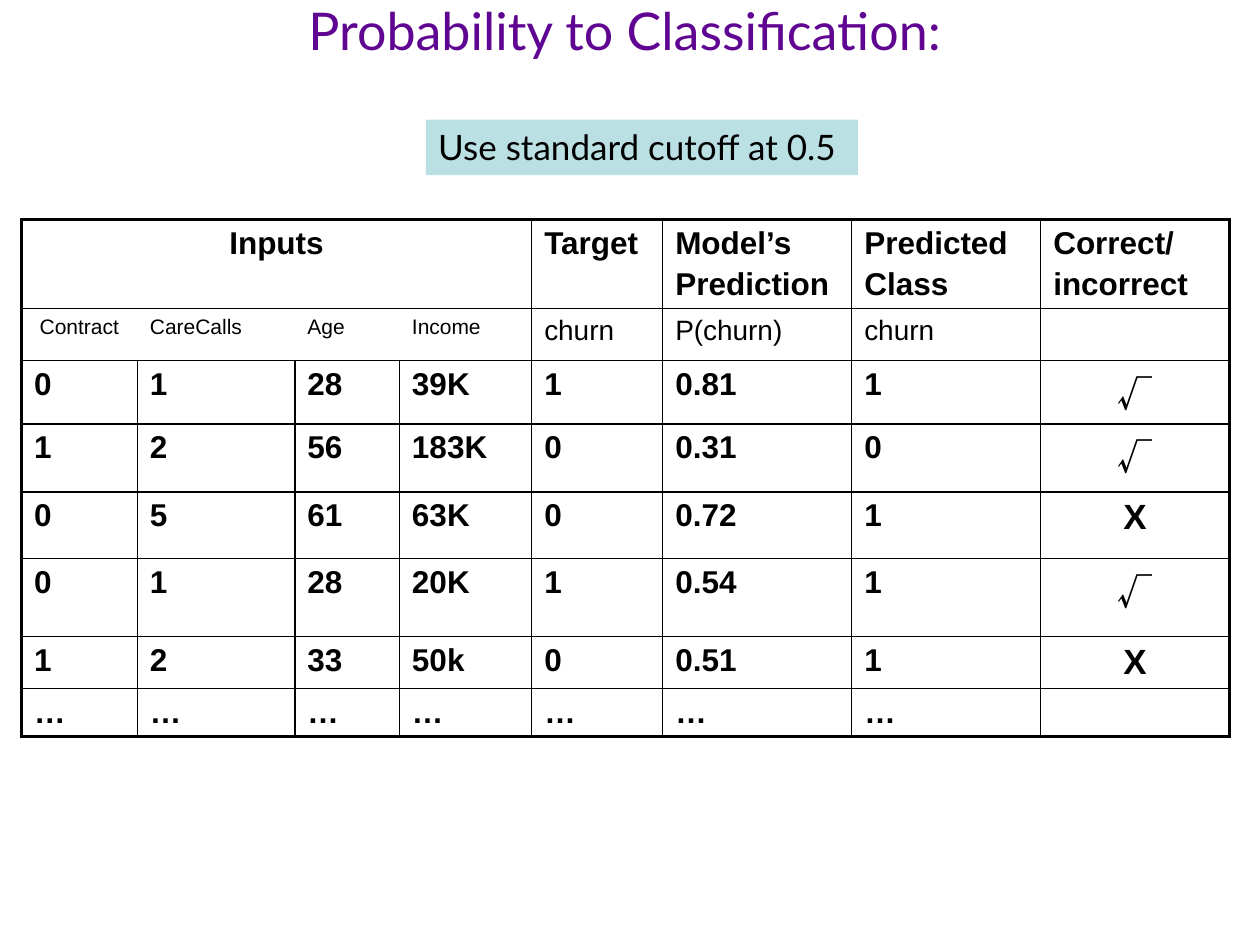
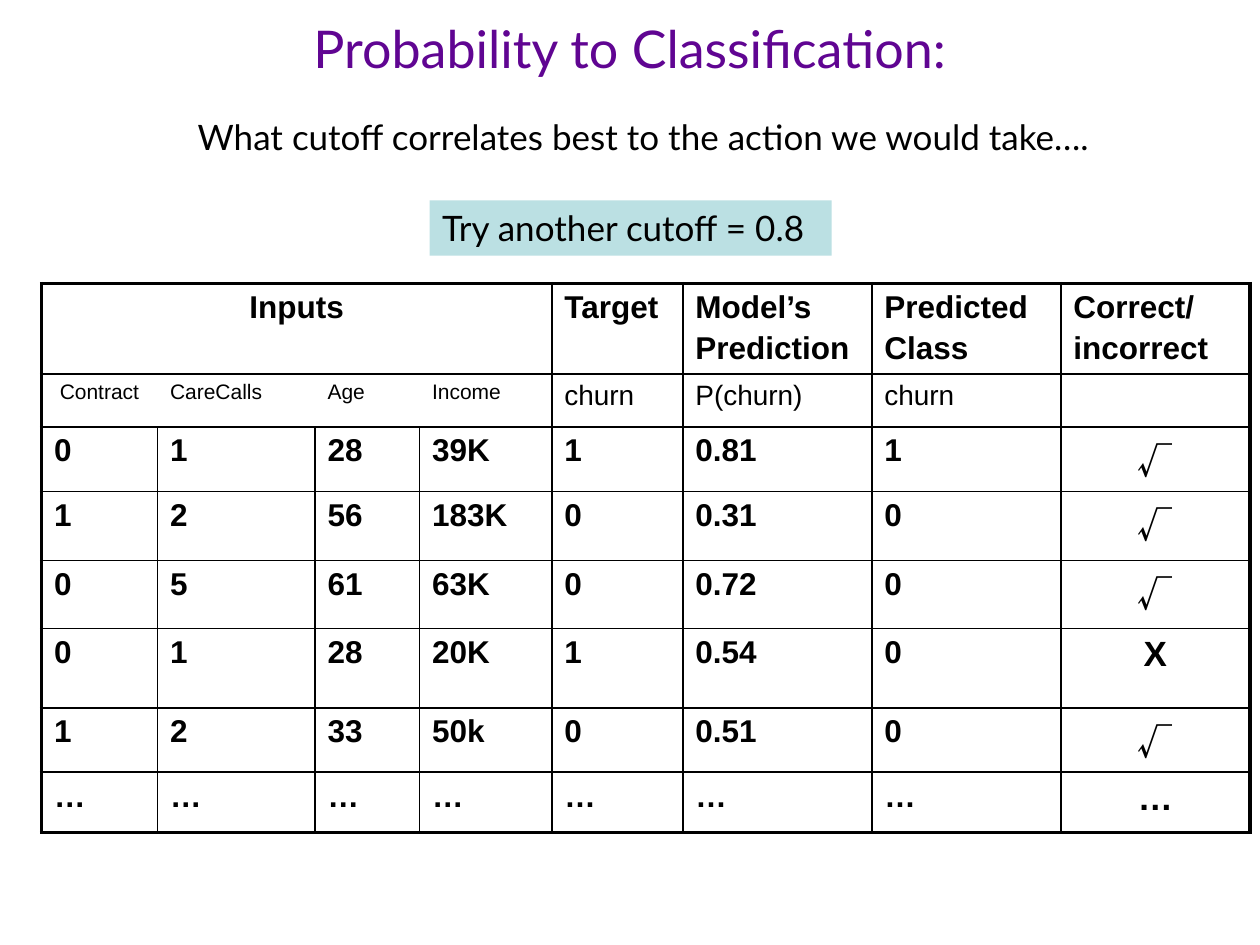
from lxml.etree import SubElement
from pptx import Presentation
from pptx.dml.color import RGBColor
from pptx.enum.shapes import MSO_SHAPE
from pptx.enum.text import MSO_ANCHOR, MSO_AUTO_SIZE, PP_ALIGN
from pptx.oxml import parse_xml
from pptx.oxml.ns import nsdecls, qn
from pptx.util import Inches, Pt

BLACK, PURPLE, AQUA = "000000", "600592", "BBE0E3"
HEADING_FONT, TABLE_FONT, CHECK_FONT = "Lato", "Arial", "Noto Sans CJK SC"
THIN, THICK = 1, 2.25
COLUMN_WIDTHS = [0.92, 1.25, 0.83, 1.05, 1.04, 1.5, 1.5, 1.5]
INPUT_COUNT = 4
TITLE = "Probability to Classification:\v"
HEADERS = ["Inputs", "", "", "", "Target", "Model’s\nPrediction",
           "Predicted\nClass", "Correct/\nincorrect"]
FIELDS = ["Contract", "CareCalls", "Age", "Income", "churn", "P(churn)", "churn", ""]
CUSTOMERS = [
    ["0", "1", "28", "39K", "1", "0.81"],
    ["1", "2", "56", "183K", "0", "0.31"],
    ["0", "5", "61", "63K", "0", "0.72"],
    ["0", "1", "28", "20K", "1", "0.54"],
    ["1", "2", "33", "50k", "0", "0.51"],
]


def color(hex_code):
    return RGBColor.from_string(hex_code)


def format_text(frame, size, font, hex_code=BLACK, bold=False, align=PP_ALIGN.LEFT):
    for paragraph in frame.paragraphs:
        paragraph.alignment = align
        for run in paragraph.runs:
            run.font.size = Pt(size)
            run.font.bold = bold
            run.font.color.rgb = color(hex_code)
            run.font.name = font


def add_title(slide, left, top):
    title = slide.shapes.title
    title.left, title.top = Inches(left), Inches(top)
    title.width, title.height = Inches(9), Inches(0.69)
    frame = title.text_frame
    frame.text = TITLE
    frame.auto_size = MSO_AUTO_SIZE.NONE
    frame.vertical_anchor = MSO_ANCHOR.MIDDLE
    format_text(frame, 29.7, HEADING_FONT, PURPLE, align=PP_ALIGN.CENTER)


def add_caption(slide, text, left, top, width, fill=None):
    caption = slide.shapes.add_shape(MSO_SHAPE.RECTANGLE, Inches(left), Inches(top),
                                     Inches(width), Inches(0.44))
    caption.shadow.inherit = False
    caption.line.fill.background()
    if fill:
        caption.fill.solid()
        caption.fill.fore_color.rgb = color(fill)
    else:
        caption.fill.background()
    frame = caption.text_frame
    frame.text = text
    frame.word_wrap = True
    frame.vertical_anchor = MSO_ANCHOR.TOP
    format_text(frame, 20, HEADING_FONT)


def set_borders(cell, weights):
    properties = cell._tc.get_or_add_tcPr()
    for position, (side, weight) in enumerate(zip("LRTB", weights)):
        paint = f'<a:solidFill><a:srgbClr val="{BLACK}"/></a:solidFill>' if weight else "<a:noFill/>"
        properties.insert(position, parse_xml(
            f'<a:ln{side} {nsdecls("a")} w="{int(Pt(weight))}">{paint}</a:ln{side}>'))


def border_weights(cell, row, column, last_row, last_column):
    open_left = row < 2 and 0 < column < INPUT_COUNT
    open_right = row < 2 and column < INPUT_COUNT - 1 and not cell.is_merge_origin
    left = 0 if open_left else THICK if column == 0 else THIN
    right = 0 if open_right else THICK if column == last_column else THIN
    return left, right, THICK if row == 0 else THIN, THICK if row == last_row else THIN


def format_cell(cell, row, column, last_column):
    frame = cell.text_frame
    if row == 0:
        align = PP_ALIGN.CENTER if column == 0 else PP_ALIGN.LEFT
        format_text(frame, 18, TABLE_FONT, bold=True, align=align)
        for paragraph in frame.paragraphs[1:]:
            paragraph.space_before = Pt(3.6)
    elif row == 1:
        align = PP_ALIGN.CENTER if column == 0 else PP_ALIGN.LEFT
        format_text(frame, 12 if column < INPUT_COUNT else 16, TABLE_FONT, align=align)
    elif column == last_column:
        font = CHECK_FONT if cell.text == "√" else TABLE_FONT
        format_text(frame, 20, font, bold=True, align=PP_ALIGN.CENTER)
        for run in frame.paragraphs[0].runs:
            SubElement(run.font._element, qn("a:ea"), typeface=font)
    else:
        format_text(frame, 18, TABLE_FONT, bold=True)
    if not cell.text:
        SubElement(frame.paragraphs[0]._p, qn("a:endParaRPr"), sz="1200")


def add_scoring_table(slide, left, top, row_heights, predicted, verdicts, last_verdict):
    records = [customer + [label, verdict]
               for customer, label, verdict in zip(CUSTOMERS, predicted, verdicts)]
    rows = [HEADERS, FIELDS, *records, ["…"] * 7 + [last_verdict]]
    table = slide.shapes.add_table(len(rows), len(COLUMN_WIDTHS), Inches(left), Inches(top),
                                   Inches(sum(COLUMN_WIDTHS)), Inches(sum(row_heights))).table
    table.first_row = table.horz_banding = False
    for table_column, width in zip(table.columns, COLUMN_WIDTHS):
        table_column.width = Inches(width)
    for table_row, height in zip(table.rows, row_heights):
        table_row.height = Inches(height)
    table.cell(0, 0).merge(table.cell(0, INPUT_COUNT - 1))
    last_row, last_column = len(rows) - 1, len(COLUMN_WIDTHS) - 1
    for row, values in enumerate(rows):
        for column, value in enumerate(values):
            cell = table.cell(row, column)
            cell.text = value
            format_cell(cell, row, column, last_column)
            cell.fill.background()
            set_borders(cell, border_weights(cell, row, column, last_row, last_column))


def add_standard_cutoff(deck):
    slide = deck.slides.add_slide(deck.slide_layouts[5])
    add_title(slide, 0.46, 0.26)
    add_scoring_table(slide, 0.17, 1.74, [0.71, 0.41, 0.5, 0.54, 0.53, 0.62, 0.41, 0.38],
                      "10111", "√√X√X", "")
    add_caption(slide, "Use standard cutoff at 0.5", 3.38, 0.95, 3.43, AQUA)


def add_other_cutoff(deck):
    slide = deck.slides.add_slide(deck.slide_layouts[5])
    add_title(slide, 0.5, 0.4)
    add_scoring_table(slide, 0.33, 2.25, [0.72, 0.42, 0.51, 0.55, 0.54, 0.63, 0.51, 0.48],
                      "10000", "√√√X√", "…")
    add_caption(slide, "Try another cutoff = 0.8", 3.41, 1.59, 3.19, AQUA)
    add_caption(slide, "What cutoff correlates best to the action we would take….",
                1.47, 0.87, 7.4)


def main():
    deck = Presentation()
    deck.slide_width, deck.slide_height = Inches(10), Inches(7.5)
    add_standard_cutoff(deck)
    add_other_cutoff(deck)
    deck.save("out.pptx")


if __name__ == "__main__":
    main()
